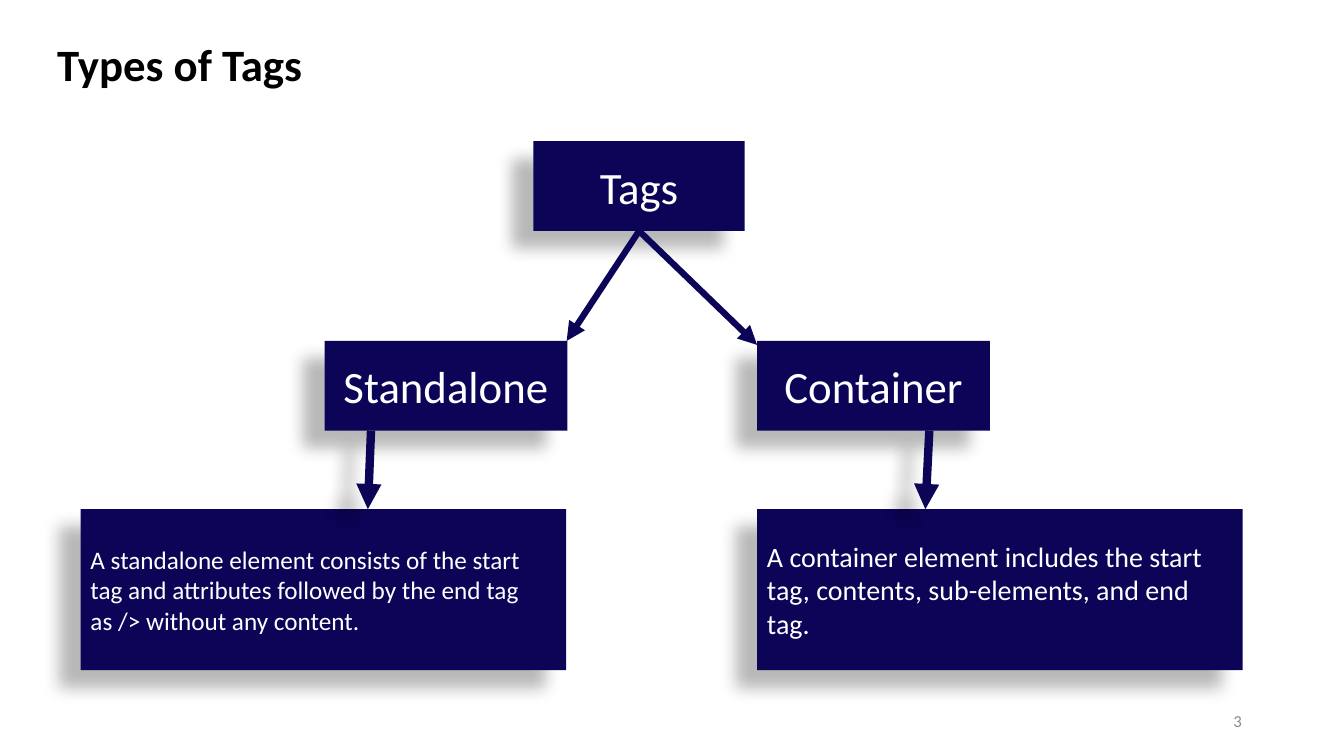
from lxml import etree
from pptx import Presentation
from pptx.dml.color import RGBColor
from pptx.enum.shapes import MSO_CONNECTOR, MSO_SHAPE
from pptx.enum.text import MSO_ANCHOR, PP_ALIGN
from pptx.oxml.ns import qn
from pptx.util import Cm, Pt

COLORS = {"navy": "0C0457", "white": "FFFFFF", "black": "000000", "grey": "8C8C8C"}
FONT = "Calibri"
LABEL_HEIGHT = 2.26
DETAIL_WIDTH, DETAIL_HEIGHT, DETAIL_DROP = 12.24, 4.06, 4.24


def color(name):
    """Return the named palette colour."""
    return RGBColor.from_string(COLORS[name])


def add_effects(shape, shadow):
    """Give the shape a soft lower-left shadow, or an empty effect list."""
    effects = etree.SubElement(shape._element.spPr, qn("a:effectLst"))
    if shadow:
        outer = etree.SubElement(effects, qn("a:outerShdw"), blurRad=str(Pt(11.8)),
                                 dist=str(Pt(19.7)), dir=str(141 * 60000),
                                 algn="ctr", rotWithShape="0")
        black = etree.SubElement(outer, qn("a:srgbClr"), val=COLORS["black"])
        etree.SubElement(black, qn("a:alpha"), val="28000")


def write(shape, text, size, ink, align=PP_ALIGN.LEFT, anchor=MSO_ANCHOR.MIDDLE, bold=False):
    """Fill the shape with one formatted paragraph."""
    frame = shape.text_frame
    frame.word_wrap = True
    frame.vertical_anchor = anchor
    paragraph = frame.paragraphs[0]
    paragraph.alignment = align
    run = paragraph.add_run()
    run.text = text
    run.font.name, run.font.size, run.font.bold = FONT, Pt(size), bold
    run.font.color.rgb = color(ink)


def add_box(slide, left, top, width, height, text, size, align=PP_ALIGN.CENTER):
    """Add a navy box with a shadow and white text."""
    box = slide.shapes.add_shape(MSO_SHAPE.RECTANGLE, Cm(left), Cm(top), Cm(width), Cm(height))
    box.fill.solid()
    box.fill.fore_color.rgb = color("navy")
    box.line.fill.background()
    add_effects(box, shadow=True)
    write(box, text, size, "white", align)


def add_arrow(slide, start, end, width, shadow=False):
    """Add a straight navy arrow between two points."""
    arrow = slide.shapes.add_connector(MSO_CONNECTOR.STRAIGHT, *map(Cm, start + end))
    arrow.line.width = Pt(width)
    arrow.line.color.rgb = color("navy")
    etree.SubElement(arrow.line._get_or_add_ln(), qn("a:tailEnd"), type="triangle")
    add_effects(arrow, shadow)


def add_caption(slide, left, top, width, height, *args, **kwargs):
    """Add a plain text box."""
    box = slide.shapes.add_textbox(Cm(left), Cm(top), Cm(width), Cm(height))
    write(box, *args, **kwargs)


def add_root(slide, left, top, width, targets):
    """Add the root tag box and an arrow to each target point."""
    add_box(slide, left, top, width, LABEL_HEIGHT, "Tags", 32)
    for target in targets:
        add_arrow(slide, (left + width / 2, top + LABEL_HEIGHT), target, 4.5)


def add_branch(slide, left, top, label, label_shift, label_width, detail, size, start_x, end_x):
    """Add a tag type, its description below, and the arrow joining them."""
    detail_top = top + DETAIL_DROP
    add_box(slide, left + label_shift, top, label_width, LABEL_HEIGHT, label, 32)
    add_box(slide, left, detail_top, DETAIL_WIDTH, DETAIL_HEIGHT, detail, size, PP_ALIGN.LEFT)
    add_arrow(slide, (left + start_x, top + LABEL_HEIGHT), (left + end_x, detail_top), 6, True)


def build_slide(prs):
    """Build the slide showing the tree of tag types."""
    slide = prs.slides.add_slide(prs.slide_layouts[6])
    add_caption(slide, 23.93, 17.65, 7.62, 1.02, "3", 12, "grey", PP_ALIGN.RIGHT)
    add_caption(slide, 1.19, 0.79, 31.5, 1.63, "Types of Tags", 32, "black",
                anchor=MSO_ANCHOR.TOP, bold=True)
    add_root(slide, 13.44, 3.56, 5.33, [(14.28, 8.59), (19.08, 8.69)])
    add_branch(slide, 19.08, 8.59, "Container", 0, 5.87,
               "A container element includes the start tag, contents, "
               "sub-elements, and end tag.", 20, 4.34, 4.24)
    add_branch(slide, 2.03, 8.59, "Standalone", 6.15, 6.12,
               "A standalone element consists of the start tag and attributes "
               "followed by the end tag as /> without any content.", 18, 7.32, 7.24)


prs = Presentation()
prs.slide_width, prs.slide_height = Cm(33.87), Cm(19.05)
build_slide(prs)
prs.save("out.pptx")
